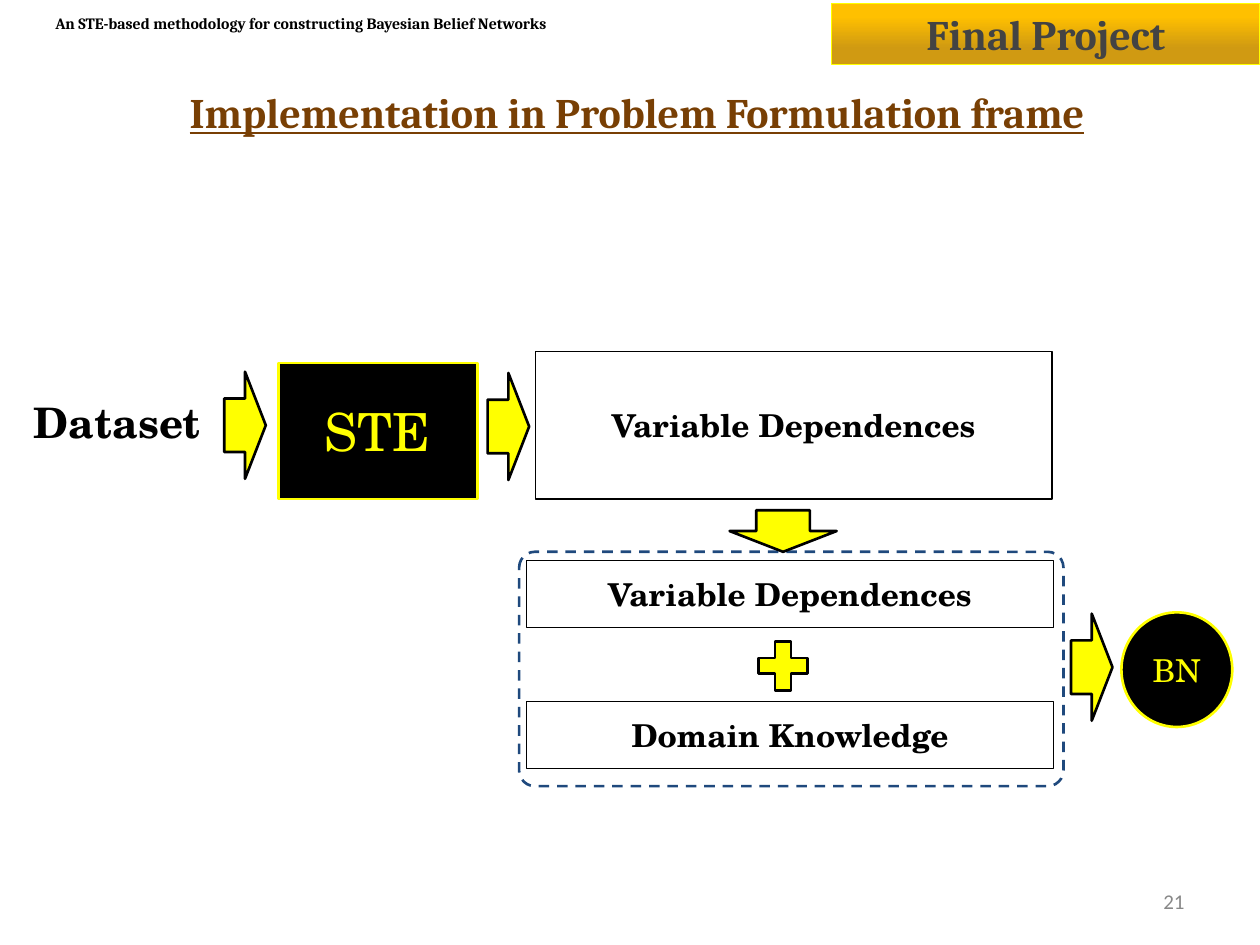
import pptx
import pptx.util
import pptx.dml.color
import pptx.enum.dml
import pptx.enum.shapes
import pptx.enum.text
from dataclasses import dataclass

Pt = pptx.util.Pt
SHAPE = pptx.enum.shapes.MSO_SHAPE
ALIGN = pptx.enum.text.PP_ALIGN


@dataclass(frozen=True)
class Theme:
    black: str = "000000"
    yellow: str = "FFFF00"
    gold: str = "FFC000"
    dark_gold: str = "D09A12"
    brown: str = "783F04"
    charcoal: str = "434343"
    gray: str = "888888"
    navy: str = "1F497D"
    heading_font: str = "Cambria"
    diagram_font: str = "TeX Gyre Schola"
    number_font: str = "Calibri"
    running_size: int = 9
    number_size: int = 12
    label_size: int = 18
    heading_size: int = 24
    hero_size: int = 30
    thin: float = 0.75
    thick: float = 1.5


THEME = Theme()

TITLE = ("Implementation in Problem Formulation frame", (30.24, 44.64, 667.44, 38.16))
RUNNING_HEAD = ("An STE-based methodology for constructing Bayesian Belief Networks",
                (24.48, 5.04, 440.64, 15.84))
BANNER = ("Final Project", (475.2, 2.16, 244.8, 34.56))
SLIDE_NUMBER = ("21", (516.24, 500.4, 167.76, 28.8))
DATASET = ("Dataset", (5.04, 198.72, 123.84, 84.24))
GROUP_FRAME = (296.64, 315.36, 311.04, 133.92)
PLUS_SIGN = (428.4, 361.44, 38.16, 38.16)
RESULT_BOXES = [
    ("Variable Dependences", (306, 200.88, 295.2, 84.24)),
    ("Variable Dependences", (300.96, 320.4, 300.96, 38.16)),
    ("Domain Knowledge", (300.96, 401.04, 300.96, 38.16)),
]
NODES = [
    ("STE", SHAPE.RECTANGLE, (159.12, 207.36, 113.76, 77.76), THEME.hero_size),
    ("BN", SHAPE.OVAL, (640.8, 349.92, 63.36, 65.52), THEME.label_size),
]
ARROW_SIZE = (61.2, 23.76)
ARROWS = [((140.04, 243), 270), ((290.52, 243.72), 270),
          ((447.48, 303.48), 0), ((623.88, 381.24), 270)]


def color(value):
    return pptx.dml.color.RGBColor.from_string(value)


def write_text(shape, text, size, ink, font=THEME.diagram_font, bold=False,
               underline=False, align=ALIGN.CENTER, vertical_inset=7.2):
    frame = shape.text_frame
    frame.word_wrap = True
    frame.auto_size = pptx.enum.text.MSO_AUTO_SIZE.NONE
    frame.vertical_anchor = pptx.enum.text.MSO_ANCHOR.MIDDLE
    frame.margin_left = frame.margin_right = Pt(7.2)
    frame.margin_top = frame.margin_bottom = Pt(vertical_inset)
    paragraph = frame.paragraphs[0]
    paragraph.alignment = align
    run = paragraph.add_run()
    run.text = text
    run.font.name = font
    run.font.size = Pt(size)
    run.font.bold = bold
    run.font.underline = underline
    run.font.color.rgb = color(ink)


def add_shape(slide, kind, box, line, width, fill=None):
    shape = slide.shapes.add_shape(kind, *map(Pt, box))
    shape.shadow.inherit = False
    if fill:
        shape.fill.solid()
        shape.fill.fore_color.rgb = color(fill)
    else:
        shape.fill.background()
    shape.line.color.rgb = color(line)
    shape.line.width = Pt(width)
    return shape


def add_text(slide, content, size, ink, **text_format):
    text, box = content
    write_text(slide.shapes.add_textbox(*map(Pt, box)), text, size, ink, **text_format)


def add_banner(slide):
    text, box = BANNER
    banner = add_shape(slide, SHAPE.ROUNDED_RECTANGLE, box, THEME.yellow, THEME.thin)
    banner.adjustments[0] = 0
    banner.fill.gradient()
    banner.fill.gradient_angle = 90
    stops = [(0.27, THEME.dark_gold), (0.79, THEME.gold)]
    for stop, (position, value) in zip(banner.fill.gradient_stops, stops):
        stop.position = position
        stop.color.rgb = color(value)
    write_text(banner, text, THEME.heading_size, THEME.charcoal,
               font=THEME.heading_font, bold=True, vertical_inset=3.6)


def add_headings(slide):
    text, box = TITLE
    title = slide.shapes.title
    title.left, title.top, title.width, title.height = map(Pt, box)
    write_text(title, text, THEME.heading_size, THEME.brown,
               font=THEME.heading_font, bold=True, underline=True)
    add_text(slide, RUNNING_HEAD, THEME.running_size, THEME.black,
             font=THEME.heading_font, bold=True, align=ALIGN.LEFT)
    add_banner(slide)
    add_text(slide, SLIDE_NUMBER, THEME.number_size, THEME.gray,
             font=THEME.number_font, align=ALIGN.RIGHT, vertical_inset=3.6)


def add_diagram(slide):
    frame = add_shape(slide, SHAPE.ROUNDED_RECTANGLE, GROUP_FRAME, THEME.navy, THEME.thick)
    frame.adjustments[0] = 0.067
    frame.line.dash_style = pptx.enum.dml.MSO_LINE.DASH
    add_text(slide, DATASET, THEME.heading_size, THEME.black, bold=True)
    width, height = ARROW_SIZE
    for (center_x, center_y), rotation in ARROWS:
        box = (center_x - width / 2, center_y - height / 2, width, height)
        arrow = add_shape(slide, SHAPE.DOWN_ARROW, box, THEME.black, THEME.thick, THEME.yellow)
        arrow.rotation = rotation
    for text, kind, box, size in NODES:
        node = add_shape(slide, kind, box, THEME.yellow, THEME.thick, THEME.black)
        write_text(node, text, size, THEME.yellow)
    for text, box in RESULT_BOXES:
        result = add_shape(slide, SHAPE.RECTANGLE, box, THEME.black, THEME.thin)
        write_text(result, text, THEME.label_size, THEME.black, bold=True)
    add_shape(slide, SHAPE.MATH_PLUS, PLUS_SIGN, THEME.black, THEME.thick, THEME.yellow)


def main():
    presentation = pptx.Presentation()
    presentation.slide_width = Pt(720)
    presentation.slide_height = Pt(540)
    slide = presentation.slides.add_slide(presentation.slide_layouts[5])
    add_headings(slide)
    add_diagram(slide)
    presentation.save("out.pptx")


if __name__ == "__main__":
    main()
